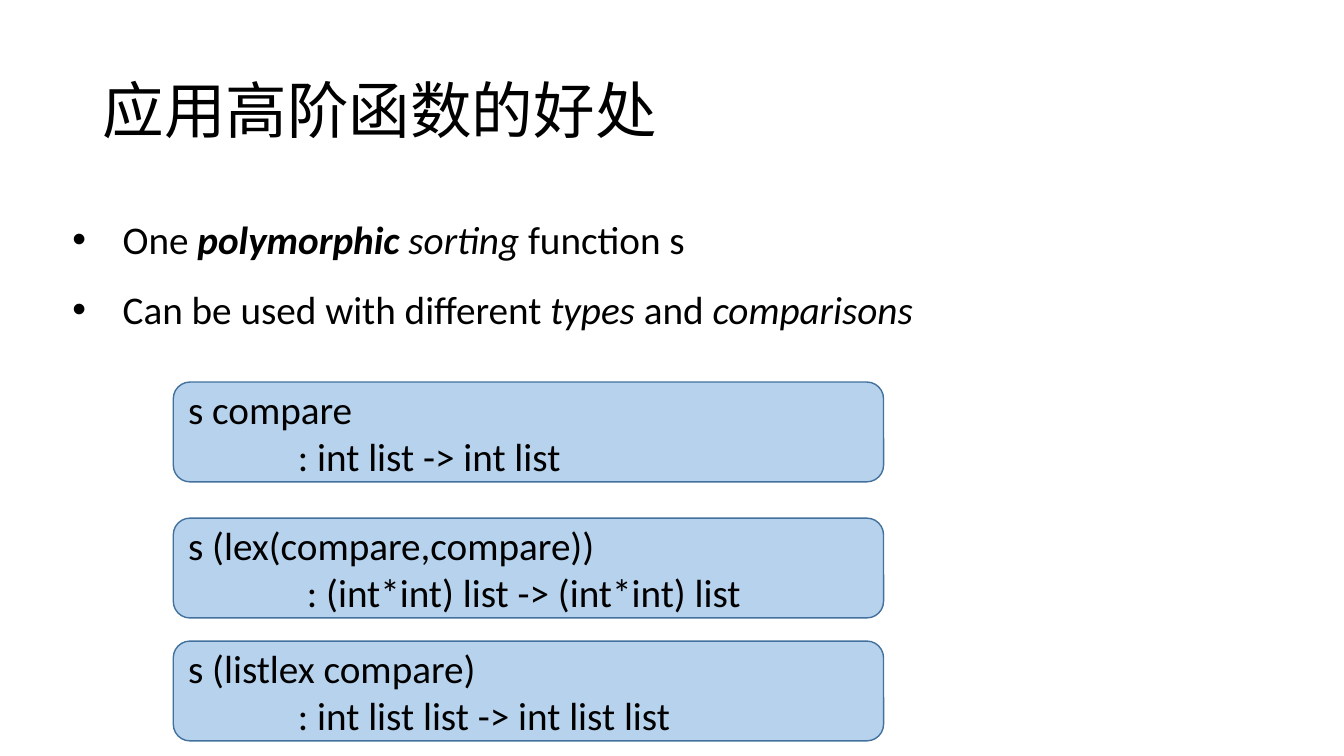
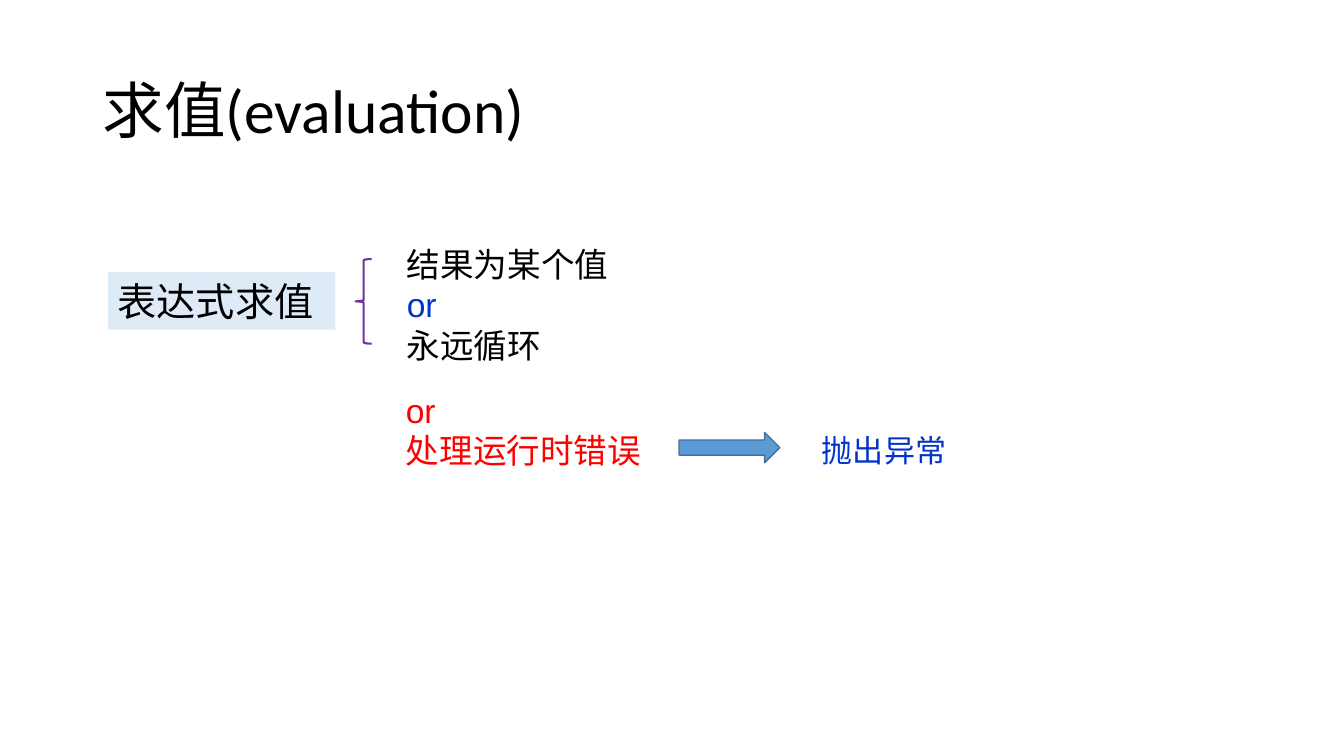
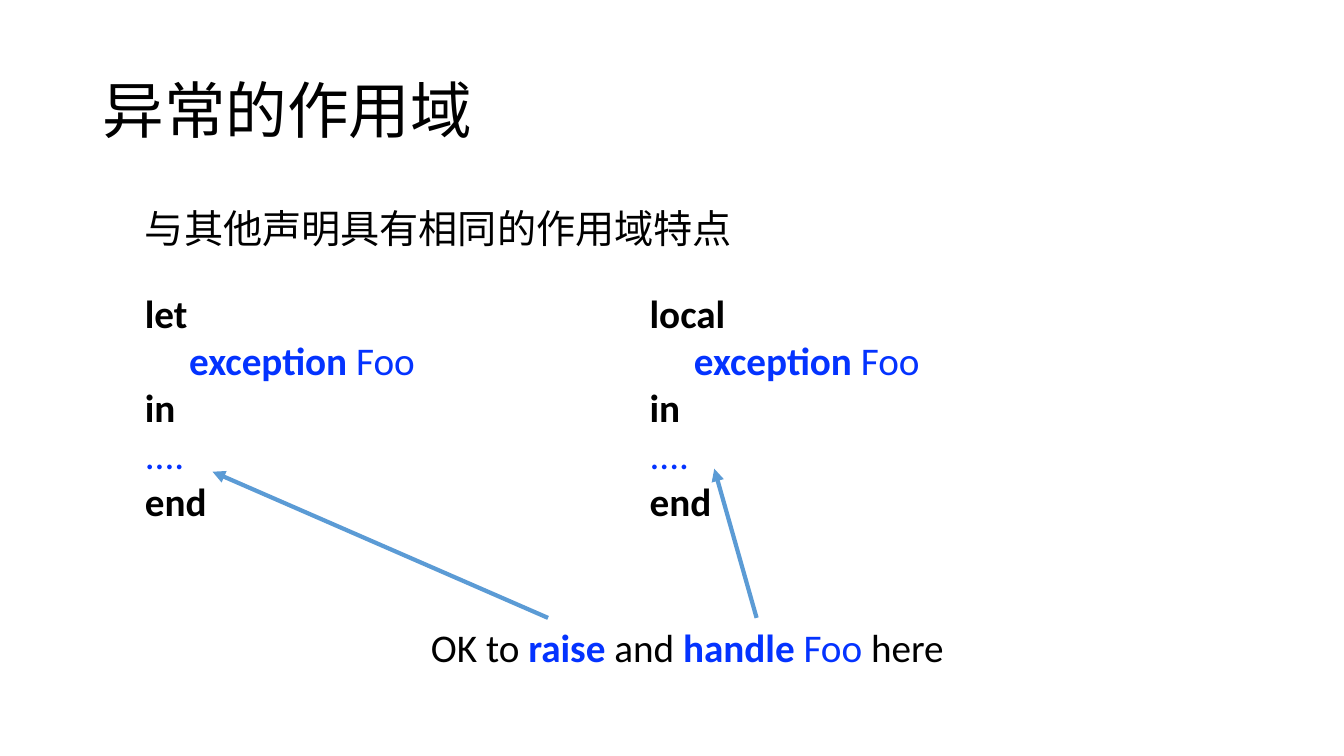
from lxml import etree
from pptx import Presentation
from pptx.dml.color import RGBColor
from pptx.enum.shapes import MSO_CONNECTOR, MSO_SHAPE
from pptx.enum.text import MSO_ANCHOR, PP_ALIGN
from pptx.oxml.ns import qn
from pptx.util import Emu, Pt

# Shared style; 100 px make one inch
PX = 9144
WIDTH, HEIGHT = 1334, 750
LATIN, SANS, HAN = "Calibri", "Arial", "Noto Sans CJK SC"
BLACK, BLUE, NAVY, RED = "000000", "0433FF", "0033CC", "FF0000"
ACCENT, OUTLINE, PURPLE = "5B9BD5", "41719C", "7030A0"
CARD_FILL, LABEL_FILL = "B6D2EC", "DEEBF6"
TITLE_AT = (92, 40, 1150, 145)

# Slide 1: a run is (text, marks, colour); marks are b and i
SORT_TITLE = "应用高阶函数的好处"
SORT_POINTS = [
    [("One ",), ("polymorphic ", "bi"), ("sorting", "i"), (" function s",)],
    [("Can be used with different ",), ("types", "i"), (" and ",),
     ("comparisons", "i")],
]
# top, expression, type, indent of the type
SORT_CARDS = [
    (379, "s compare", ": int list -> int list", 109),
    (514, "s (lex(compare,compare))",
     ": (int*int) list -> (int*int) list", 118),
    (636, "s (listlex compare)", ": int list list -> int list list", 109),
]

# Slide 2: outcome lines are (text, font, colour)
EVAL_TITLE = "求值(evaluation)"
EVAL_LABEL = "表达式求值"
EVAL_OUTCOMES = [
    ((394, 237, 254, 130), [("结果为某个值", HAN, BLACK), ("or", SANS, NAVY),
                            ("永远循环", HAN, BLACK)]),
    ((393, 382, 269, 90), [("or", SANS, RED), ("处理运行时错误", HAN, RED)]),
]
EVAL_RAISED = "抛出异常"

# Slide 3
SCOPE_TITLE = "异常的作用域"
SCOPE_LEAD = "与其他声明具有相同的作用域特点"
SCOPE_BLOCKS = [(134, "let"), (635, "local")]
SCOPE_NOTE = [("OK to ",), ("raise ", "b", BLUE), ("and ",),
              ("handle", "b", BLUE), (" Foo ", "", BLUE), ("here",)]
SCOPE_ARROWS = [((544, 613), (211, 468)), ((751, 613), (709, 465))]


def rgb(value):
    return RGBColor.from_string(value)


def emu(lengths):
    return [Emu(n * PX) for n in lengths]


def write(frame, lines, size=28, font=LATIN, color=BLACK, spacing=None):
    """Fill a frame; a line is a dict with runs and its own settings."""
    frame.word_wrap = True
    for number, line in enumerate(lines):
        para = frame.paragraphs[0] if number == 0 else frame.add_paragraph()
        para.alignment = PP_ALIGN.LEFT
        if spacing:
            para.line_spacing = spacing
        para.font.size = Pt(size)
        para.font.name = line.get("font", font)
        para.font.color.rgb = rgb(line.get("color", color))
        props = para._p.get_or_add_pPr()
        etree.SubElement(props.find(qn("a:defRPr")), qn("a:ea"),
                         typeface=LATIN)
        indent = line.get("indent", 0)
        props.set("marL", str(indent * PX))
        if line.get("bullet"):
            props.set("indent", str(-indent * PX))
            mark = etree.Element(qn("a:buChar"), char="•")
            face = etree.Element(qn("a:buFont"), typeface=SANS)
            props.find(qn("a:defRPr")).addprevious(face)
            face.addnext(mark)
        for text, *style in line["runs"]:
            run = para.add_run()
            run.text = text
            marks = style[0] if style else ""
            if "b" in marks:
                run.font.bold = True
            if "i" in marks:
                run.font.italic = True
            if len(style) > 1:
                run.font.color.rgb = rgb(style[1])


def plain(text, **settings):
    return {"runs": [(text,)], **settings}


def add_text(slide, at, lines, anchor=MSO_ANCHOR.TOP, **style):
    frame = slide.shapes.add_textbox(*emu(at)).text_frame
    frame.vertical_anchor = anchor
    write(frame, lines, **style)


def add_block(slide, kind, at, fill=None, line=None, weight=1):
    block = slide.shapes.add_shape(kind, *emu(at))
    block.shadow.inherit = False
    if fill:
        block.fill.solid()
        block.fill.fore_color.rgb = rgb(fill)
    else:
        block.fill.background()
    if line:
        block.line.color.rgb = rgb(line)
        block.line.width = Pt(weight)
    else:
        block.line.fill.background()
    return block


def add_arrow(slide, start, end):
    arrow = slide.shapes.add_connector(MSO_CONNECTOR.STRAIGHT,
                                       *emu(start + end))
    arrow.line.color.rgb = rgb(ACCENT)
    arrow.line.width = Pt(3)
    etree.SubElement(arrow.line._get_or_add_ln(), qn("a:tailEnd"),
                     type="triangle")
    etree.SubElement(arrow._element.spPr, qn("a:effectLst"))


def new_slide(deck, title):
    slide = deck.slides.add_slide(deck.slide_layouts[6])
    add_text(slide, TITLE_AT, [plain(title)], MSO_ANCHOR.MIDDLE,
             size=44, spacing=0.9)
    return slide


def build_sorting(deck):
    slide = new_slide(deck, SORT_TITLE)
    add_text(slide, (62, 185, 1116, 150),
             [{"runs": runs, "indent": 50, "bullet": True}
              for runs in SORT_POINTS], spacing=1.5)
    for top, expression, signature, indent in SORT_CARDS:
        card = add_block(slide, MSO_SHAPE.ROUNDED_RECTANGLE,
                         (172, top, 705, 99), CARD_FILL, OUTLINE)
        card.text_frame.vertical_anchor = MSO_ANCHOR.MIDDLE
        write(card.text_frame,
              [plain(expression), plain(signature, indent=indent)])


def build_evaluation(deck):
    slide = new_slide(deck, EVAL_TITLE)
    add_text(slide, (806, 408, 185, 61), [plain(EVAL_RAISED)],
             size=22.2, font=HAN, color=NAVY, spacing=1.4)
    label = add_block(slide, MSO_SHAPE.RECTANGLE, (107, 270, 226, 57),
                      LABEL_FILL)
    label.text_frame.vertical_anchor = MSO_ANCHOR.TOP
    write(label.text_frame, [plain(EVAL_LABEL)], font=HAN)
    add_block(slide, MSO_SHAPE.LEFT_BRACE, (353, 257, 16, 84),
              line=PURPLE, weight=1.5)
    for at, outcomes in EVAL_OUTCOMES:
        add_text(slide, at, [plain(text, font=font, color=color)
                             for text, font, color in outcomes], size=24)
    add_block(slide, MSO_SHAPE.RIGHT_ARROW, (674, 429, 100, 30),
              ACCENT, OUTLINE)


def build_scope(deck):
    slide = new_slide(deck, SCOPE_TITLE)
    add_text(slide, (134, 174, 1150, 80), [plain(SCOPE_LEAD)],
             font=HAN, spacing=1.5)
    for left, opening in SCOPE_BLOCKS:
        add_text(slide, (left, 282, 353, 244), [
            {"runs": [(opening, "b")]},
            {"runs": [("exception", "b"), (" Foo",)],
             "indent": 44, "color": BLUE},
            {"runs": [("in", "b")]},
            plain("....", color=BLUE),
            {"runs": [("end", "b")]},
        ])
    add_text(slide, (418, 613, 667, 57), [{"runs": SCOPE_NOTE}])
    for start, end in SCOPE_ARROWS:
        add_arrow(slide, start, end)


def main():
    deck = Presentation()
    deck.slide_width, deck.slide_height = emu((WIDTH, HEIGHT))
    for build in (build_sorting, build_evaluation, build_scope):
        build(deck)
    deck.save("out.pptx")


if __name__ == "__main__":
    main()
